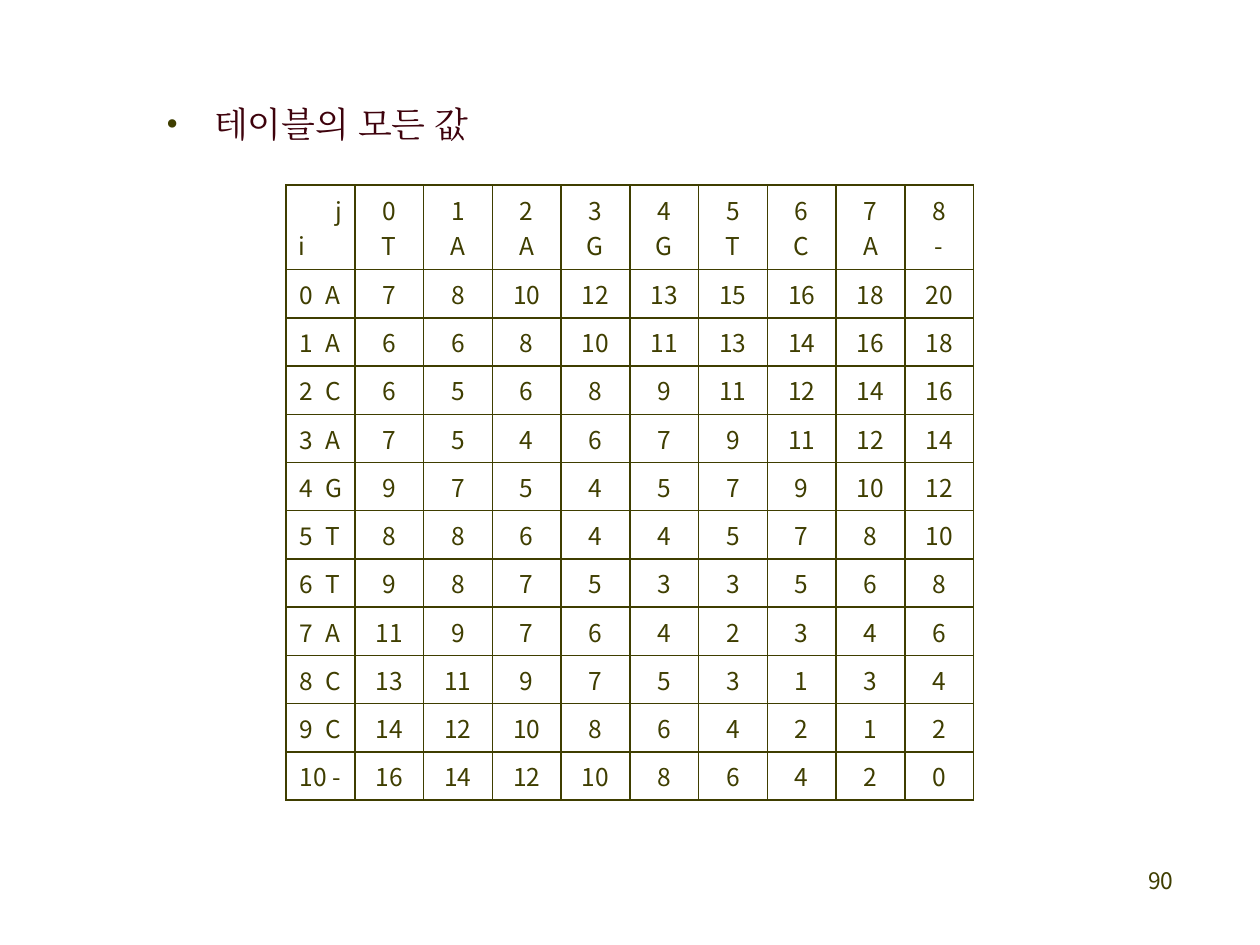
from lxml import etree
from pptx import Presentation
from pptx.dml.color import RGBColor
from pptx.enum.text import MSO_AUTO_SIZE, PP_ALIGN as AL
from pptx.oxml.ns import qn
from pptx.util import Inches, Pt

OLIVE, MAROON = "3F3E00", "3E020C"
SANS, SERIF = "Noto Sans CJK KR", "Times New Roman"


def style(p, size, color, font=SANS, align=AL.LEFT):
    p.alignment = align
    for r in p.runs:
        r.font.size = Pt(size)
        r.font.name = font
        r.font.color.rgb = RGBColor.from_string(color)
        etree.SubElement(r._r.get_or_add_rPr(), qn("a:ea"), typeface=font)


def add_color(parent, color):
    etree.SubElement(parent, qn("a:srgbClr"), val=color)


prs = Presentation()
prs.slide_width, prs.slide_height = Inches(10), Inches(7.5)
s = prs.slides.add_slide(prs.slide_layouts[6])

# Page number
tf = s.shapes.add_textbox(Inches(7.33), Inches(6.83), Inches(2.08), Inches(0.5)).text_frame
tf.word_wrap = True
tf.text = "90"
style(tf.paragraphs[0], 13, OLIVE, align=AL.RIGHT)

# Table of all values: column and row letters are the two sequences
col_letters = "TAAGGTCA-"
row_letters = "AACAGTTACC-"
values = [
    [7, 8, 10, 12, 13, 15, 16, 18, 20],
    [6, 6, 8, 10, 11, 13, 14, 16, 18],
    [6, 5, 6, 8, 9, 11, 12, 14, 16],
    [7, 5, 4, 6, 7, 9, 11, 12, 14],
    [9, 7, 5, 4, 5, 7, 9, 10, 12],
    [8, 8, 6, 4, 4, 5, 7, 8, 10],
    [9, 8, 7, 5, 3, 3, 5, 6, 8],
    [11, 9, 7, 6, 4, 2, 3, 4, 6],
    [13, 11, 9, 7, 5, 3, 1, 3, 4],
    [14, 12, 10, 8, 6, 4, 2, 1, 2],
    [16, 14, 12, 10, 8, 6, 4, 2, 0],
]
rows = [["j\ni"] + [f"{j}\n{c}" for j, c in enumerate(col_letters)]]
for i, (letter, line) in enumerate(zip(row_letters, values)):
    gap = "\t" if i < 10 else " "
    rows.append([f"{i}{gap}{letter}"] + [str(v) for v in line])

height, head_height = Inches(4.88), Inches(0.67)
row_height = (height - head_height) // len(values)
table = s.shapes.add_table(len(rows), len(rows[0]), Inches(2.27), Inches(1.47),
                           Inches(5.46), height).table
table.first_row = table.horz_banding = False
for i, row in enumerate(rows):
    table.rows[i].height = row_height if i else head_height
    for j, text in enumerate(row):
        cell = table.cell(i, j)
        cell.text = text
        tcPr = cell._tc.get_or_add_tcPr()
        for side in ("a:lnL", "a:lnR", "a:lnT", "a:lnB"):
            ln = etree.SubElement(tcPr, qn(side), w=str(Pt(1)))
            add_color(etree.SubElement(ln, qn("a:solidFill")), OLIVE)
        cell.fill.background()
        for p in cell.text_frame.paragraphs:
            if "\t" in text:
                # Row label: number, then its letter at a tab stop
                cell.margin_left, cell.margin_right = Inches(0.11), Inches(0.05)
                tabs = etree.SubElement(p._p.get_or_add_pPr(), qn("a:tabLst"))
                etree.SubElement(tabs, qn("a:tab"), pos=str(Inches(0.2)), algn="l")
            style(p, 14, OLIVE, align=AL.LEFT if "\t" in text else AL.CENTER)

# Corner cell: j on the right, i on the left
corner_j, corner_i = table.cell(0, 0).text_frame.paragraphs
corner_j.alignment, corner_i.alignment = AL.RIGHT, AL.LEFT

# Bulleted heading
tf = s.shapes.add_textbox(Inches(1.22), Inches(0.6), Inches(2.68), Inches(0.61)).text_frame
tf.word_wrap = False
tf.auto_size = MSO_AUTO_SIZE.SHAPE_TO_FIT_TEXT
tf.text = "테이블의 모든 값"
p = tf.paragraphs[0]
p.line_spacing = 1.5
pPr = p._p.get_or_add_pPr()
pPr.set("marL", str(Inches(0.38)))
pPr.set("indent", str(-Inches(0.38)))
add_color(etree.SubElement(pPr, qn("a:buClr")), OLIVE)
etree.SubElement(pPr, qn("a:buFont"), typeface=SERIF)
etree.SubElement(pPr, qn("a:buChar"), char="•")
style(p, 20, MAROON, SERIF)

prs.save("out.pptx")
